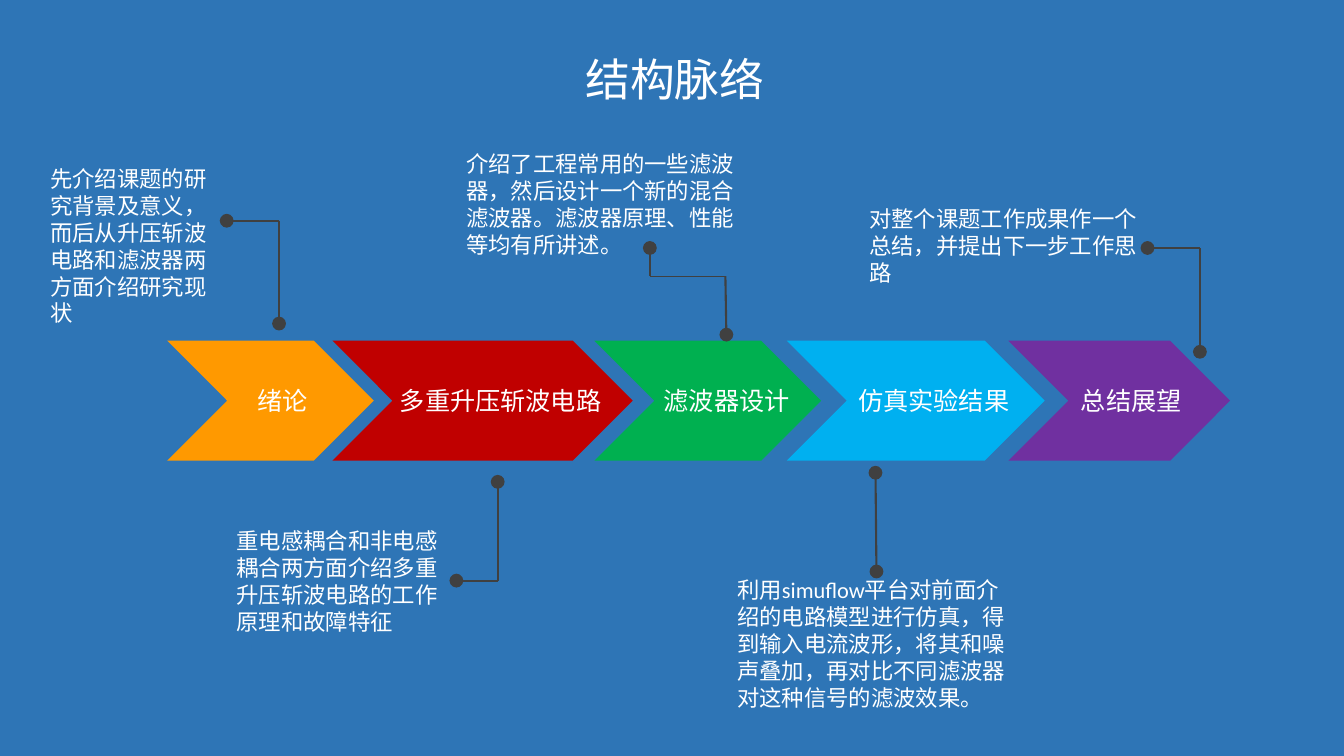
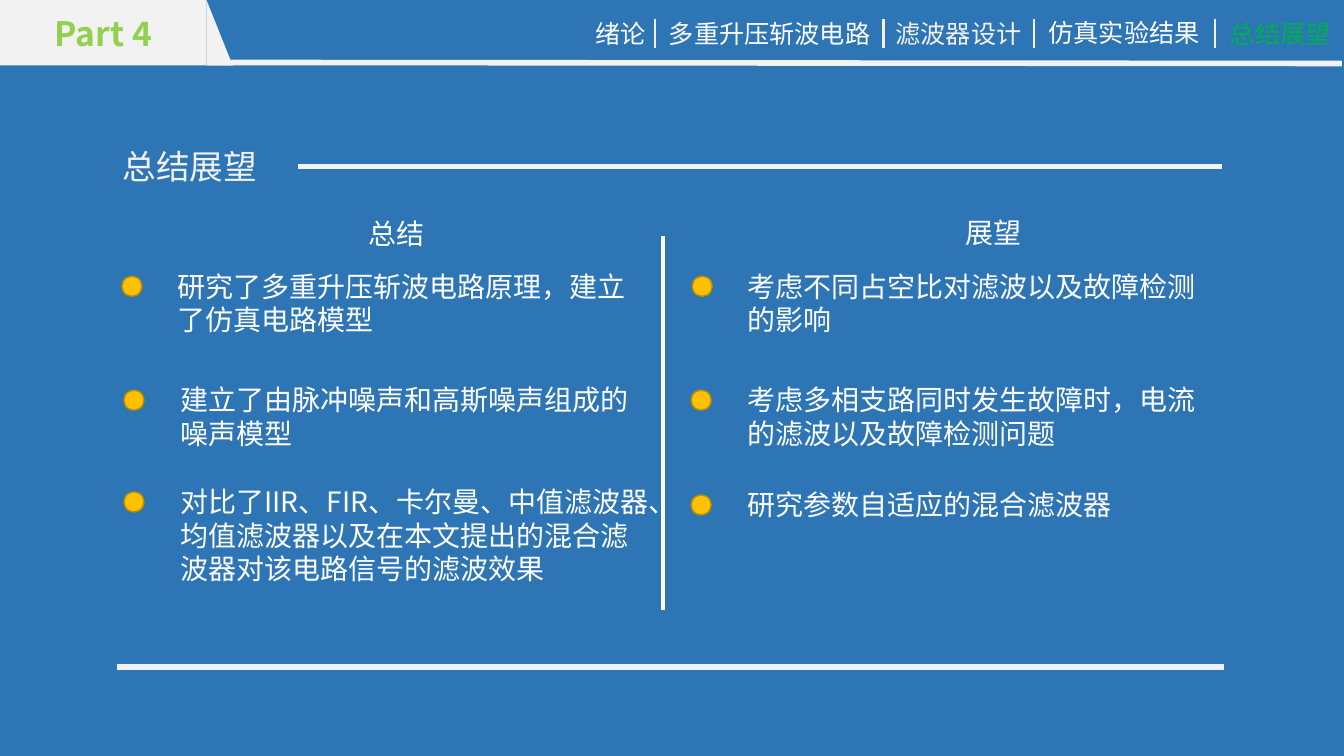
"""Build a chapter roadmap slide and a summary and outlook slide."""
from lxml import etree
from pptx import Presentation
from pptx.dml.color import RGBColor
from pptx.enum.lang import MSO_LANGUAGE_ID
from pptx.enum.shapes import MSO_CONNECTOR, MSO_SHAPE
from pptx.enum.text import MSO_ANCHOR, PP_ALIGN
from pptx.oxml.ns import qn
from pptx.util import Inches, Pt

BLUE = RGBColor(0x2E, 0x75, 0xB6)
WHITE = RGBColor(0xFF, 0xFF, 0xFF)
PALE = RGBColor(0xF2, 0xF2, 0xF2)
DARK = RGBColor(0x40, 0x40, 0x40)
ORANGE = RGBColor(0xFF, 0x99, 0x00)
RED = RGBColor(0xC0, 0x00, 0x00)
GREEN = RGBColor(0x00, 0xB0, 0x50)
SKY = RGBColor(0x00, 0xB0, 0xF0)
PURPLE = RGBColor(0x70, 0x30, 0xA0)
LIME = RGBColor(0x92, 0xD0, 0x50)
GOLD = RGBColor(0xFF, 0xC0, 0x00)
GOLD_EDGE = RGBColor(0xBC, 0x8C, 0x00)
LATIN = "Calibri"
CHINESE = "Noto Sans CJK SC"

CHAPTERS = ["绪论", "多重升压斩波电路", "滤波器设计", "仿真实验结果", "总结展望"]

# Chevron left, chevron width, label left, label width, colour
CHEVRONS = [
    (1.66, 2.05, 2.46, 0.75, ORANGE),
    (3.3, 2.98, 3.87, 2.25, RED),
    (5.9, 2.25, 6.49, 1.5, GREEN),
    (7.81, 2.56, 8.42, 1.75, SKY),
    (10.01, 2.2, 10.63, 1.25, PURPLE),
]
NOTES = [
    ("先介绍课题的研究背景及意义，而后从升压斩波电路和滤波器两方面介绍研究现状",
     (0.4, 1.59, 1.85, 1.7)),
    ("重电感耦合和非电感耦合两方面介绍多重升压斩波电路的工作原理和故障特征",
     (2.25, 5.18, 2.28, 1.17)),
    ("介绍了工程常用的一些滤波器，然后设计一个新的混合滤波器。滤波器原理、性能等均有所讲述。",
     (4.53, 1.44, 2.96, 1.17)),
    ("利用simuflow平台对前面介绍的电路模型进行仿真，得到输入电流波形，将其和噪声叠加，"
     "再对比不同滤波器对这种信号的滤波效果。", (7.22, 5.67, 2.96, 1.44)),
    ("对整个课题工作成果作一个总结，并提出下一步工作思路", (8.53, 1.99, 2.96, 0.9)),
]
LEADERS = [
    [(2.25, 2.19), (2.77, 2.19), (2.77, 3.21)],
    [(4.53, 5.76), (4.94, 5.76), (4.94, 4.78)],
    [(6.45, 2.46), (6.45, 2.74), (7.2, 2.74), (7.21, 3.32)],
    [(8.7, 5.67), (8.69, 4.69)],
    [(11.39, 2.46), (11.91, 2.46), (11.91, 3.49)],
]

# Left, top, width, colour
TABS = [
    (5.81, 0.13, 0.75, WHITE),
    (6.54, 0.13, 2.25, WHITE),
    (8.79, 0.13, 1.5, PALE),
    (10.31, 0.12, 1.75, WHITE),
    (12.11, 0.13, 1.23, GREEN),
]
TAB_DIVIDERS = [6.5, 8.77, 10.26, 12.06]
HEADINGS = [("总结", 3.56, 2.1), ("展望", 9.48, 2.09)]

# Text, dot left, text left, text top, text height
POINTS = [
    ("研究了多重升压斩波电路原理，建立了仿真电路模型", 1.21, 1.66, 2.62, 0.77),
    ("建立了由脉冲噪声和高斯噪声组成的噪声模型", 1.23, 1.69, 3.75, 0.77),
    ("对比了IIR、FIR、卡尔曼、中值滤波器、均值滤波器以及在本文提出的混合滤波器对该电路信号的滤波效果",
     1.23, 1.69, 4.76, 1.1),
    ("考虑不同占空比对滤波以及故障检测的影响", 6.87, 7.32, 2.62, 0.77),
    ("考虑多相支路同时发生故障时，电流的滤波以及故障检测问题", 6.86, 7.32, 3.75, 0.77),
    ("研究参数自适应的混合滤波器", 6.86, 7.32, 4.79, 0.44),
]


def write(frame, text, size=18, font=CHINESE, color=WHITE, bold=False,
          align=PP_ALIGN.LEFT, wrap=True, anchor=MSO_ANCHOR.TOP):
    """Fill a text frame with one formatted paragraph."""
    frame.word_wrap = wrap
    frame.vertical_anchor = anchor
    paragraph = frame.paragraphs[0]
    paragraph.alignment = align
    run = paragraph.add_run()
    run.text = text
    run.font.size = Pt(size)
    run.font.name = font
    run.font.bold = bold
    run.font.color.rgb = color
    run.font.language_id = MSO_LANGUAGE_ID.SIMPLIFIED_CHINESE
    latin = run.font._element.find(qn("a:latin"))
    east_asian = etree.Element(qn("a:ea"), typeface=CHINESE)
    latin.addnext(east_asian)


def add_text(slide, text, box, **text_format):
    """Add a text box at left, top, width, height in inches."""
    shape = slide.shapes.add_textbox(*map(Inches, box))
    write(shape.text_frame, text, **text_format)


def add_block(slide, kind, box, fill, edge=None):
    """Add a flat preset shape."""
    shape = slide.shapes.add_shape(kind, *map(Inches, box))
    shape.shadow.inherit = False
    shape.fill.solid()
    shape.fill.fore_color.rgb = fill
    if edge is None:
        shape.line.fill.background()
    else:
        shape.line.color.rgb = edge
        shape.line.width = Pt(1)
    return shape


def add_line(slide, start, end, color=PALE, width=4, dots=()):
    """Add a straight line with round dots at the named ends."""
    connector = slide.shapes.add_connector(
        MSO_CONNECTOR.STRAIGHT, *map(Inches, (*start, *end)))
    connector.line.color.rgb = color
    connector.line.width = Pt(width)
    outline = connector.get_or_add_ln()
    for name in dots:
        etree.SubElement(outline, qn(f"a:{name}"), type="oval", w="lg", len="lg")
    etree.SubElement(connector._element.spPr, qn("a:effectLst"))


def add_leader(slide, points):
    """Join points with straight pieces and a dot at both outer ends."""
    last = len(points) - 2
    for index, (start, end) in enumerate(zip(points, points[1:])):
        dots = ["headEnd"] * (index == 0) + ["tailEnd"] * (index == last)
        width = 1.5 if dots else 0.5
        add_line(slide, start, end, DARK, width, dots)


def add_slide(presentation):
    """Add a blank slide with the shared background."""
    slide = presentation.slides.add_slide(presentation.slide_layouts[6])
    slide.background.fill.solid()
    slide.background.fill.fore_color.rgb = BLUE
    return slide


def build_roadmap(presentation):
    """Draw the chapters as chevrons with a note for each."""
    slide = add_slide(presentation)
    add_text(slide, "结构脉络", (5.41, 0.46, 2.58, 0.64), size=32, align=PP_ALIGN.CENTER)
    for chapter, (left, width, label_left, label_width, color) in zip(CHAPTERS, CHEVRONS):
        add_block(slide, MSO_SHAPE.CHEVRON, (left, 3.38, width, 1.19), color)
        add_text(slide, chapter, (label_left, 3.77, label_width, 0.4), font=LATIN, wrap=False)
    for text, box in NOTES:
        add_text(slide, text, box, size=16, font=LATIN)
    for points in LEADERS:
        add_leader(slide, points)


def add_navigation(slide, part):
    """Draw the part label and the chapter tabs."""
    for chapter, (left, top, width, color) in zip(CHAPTERS, TABS):
        add_text(slide, chapter, (left, top, width, 0.4), color=color, wrap=False)
    label = add_block(slide, MSO_SHAPE.RECTANGLE, (0, 0, 2.05, 0.65), PALE)
    write(label.text_frame, part, size=24, color=LIME, bold=True,
          align=PP_ALIGN.CENTER, anchor=MSO_ANCHOR.MIDDLE)
    add_block(slide, MSO_SHAPE.RIGHT_TRIANGLE, (2.05, 0, 0.26, 0.65), PALE)
    add_line(slide, (2.29, 0.62), (13.32, 0.63))
    for left in TAB_DIVIDERS:
        add_line(slide, (left, 0.19), (left, 0.48), width=1.5)


def build_summary(presentation):
    """Draw the summary and outlook columns."""
    slide = add_slide(presentation)
    add_navigation(slide, "Part 4")
    add_text(slide, CHAPTERS[-1], (1.12, 1.4, 1.6, 0.5), size=24, color=PALE, wrap=False)
    add_line(slide, (2.96, 1.65), (12.13, 1.65))
    add_line(slide, (1.16, 6.62), (12.15, 6.62))
    add_line(slide, (6.58, 2.34), (6.58, 6.05), WHITE, 3)
    for text, left, top in HEADINGS:
        add_text(slide, text, (left, top, 0.85, 0.44), size=20, font=LATIN, wrap=False)
    for text, dot_left, left, top, height in POINTS:
        add_block(slide, MSO_SHAPE.OVAL, (dot_left, top + 0.12, 0.2, 0.2), GOLD, GOLD_EDGE)
        add_text(slide, text, (left, top, 4.86, height), size=20)


def main():
    """Build and save the presentation."""
    presentation = Presentation()
    presentation.slide_width = Inches(13.34)
    presentation.slide_height = Inches(7.5)
    build_roadmap(presentation)
    build_summary(presentation)
    presentation.save("out.pptx")


if __name__ == "__main__":
    main()
